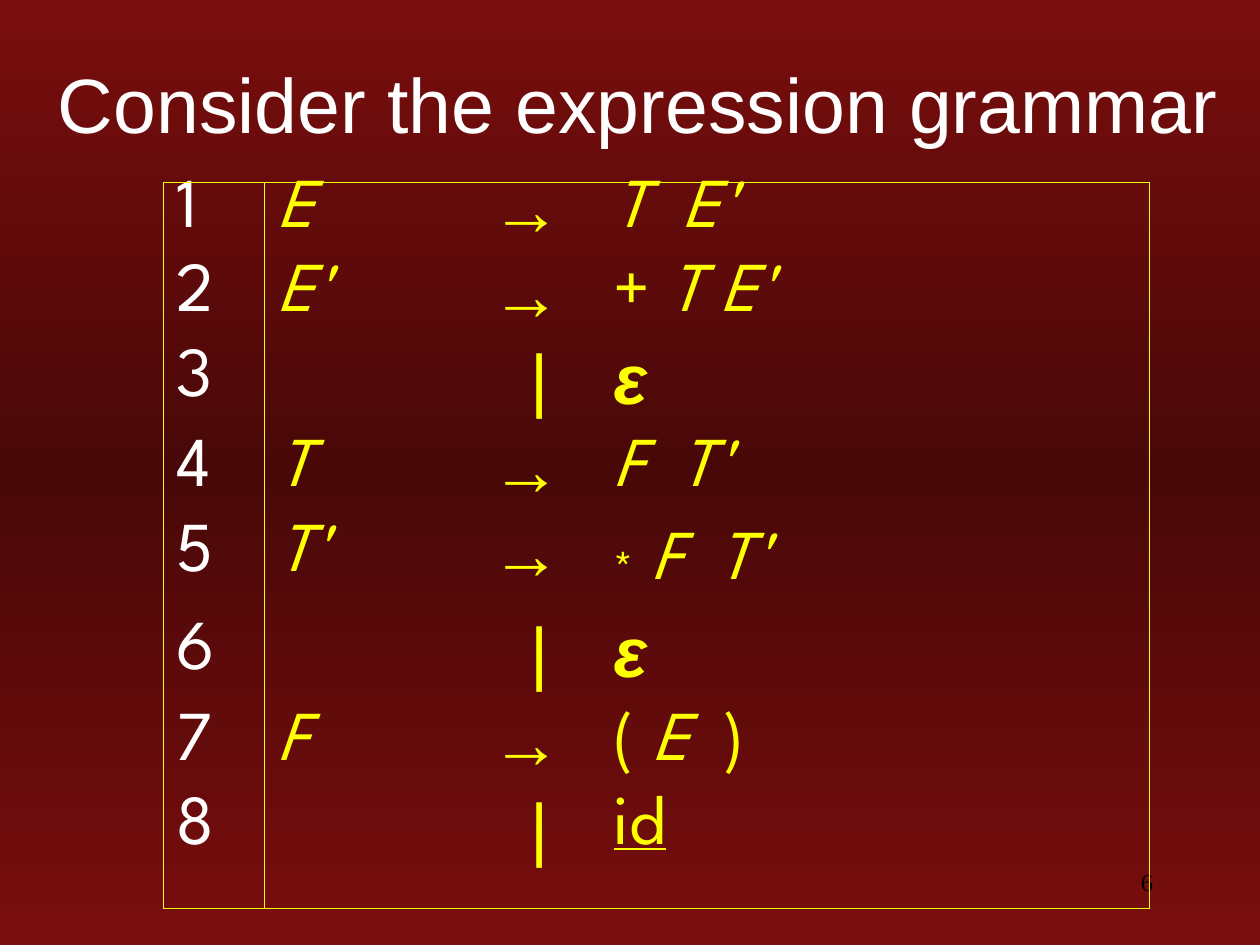
from copy import deepcopy
from dataclasses import dataclass

from pptx import Presentation
from pptx.dml.color import RGBColor
from pptx.enum.text import PP_ALIGN
from pptx.oxml.ns import qn
from pptx.util import Inches, Pt
from lxml.etree import SubElement


@dataclass(frozen=True)
class Theme:
    edge: str = "790D0D"
    middle: str = "490808"
    white: str = "FFFFFF"
    yellow: str = "FFFF00"
    black: str = "000000"
    grammar_font: str = "League Spartan"
    plain_font: str = "Arial"
    page_font: str = "Times New Roman"
    title_size: int = 44
    grammar_size: int = 40
    star_size: int = 48
    page_size: int = 14
    rule_width: float = 0.45


THEME = Theme()
ITALIC = {"italic": True}
EPSILON = [("ε", {"font": THEME.plain_font, "bold": True, "italic": True})]
STAR = {"size": THEME.star_size, "baseline": -8}
PRODUCTIONS = [
    ("E", "→", [("T  E'", ITALIC)], 0.67),
    ("E'", "→", [("+", {}), (" T E'", ITALIC)], 0.67),
    ("", "|", EPSILON, 0.72),
    ("T", "→", [("F  T'", ITALIC)], 0.67),
    ("T'", "→", [("*", STAR), (" F  T'", ITALIC)], 0.78),
    ("", "|", EPSILON, 0.72),
    ("F", "→", [("( ", {}), ("E ", ITALIC), (" )", {})], 0.67),
    ("", "|", [("id", {"underline": True})], 0.86),
]
COLUMN_WIDTHS = [0.8, 1.7, 0.97, 4.35]


def add_text(paragraph, text, font=THEME.grammar_font, size=THEME.grammar_size,
             color=THEME.yellow, bold=False, italic=False, underline=False, baseline=0):
    run = paragraph.add_run()
    run.text = text
    run.font.name = font
    run.font.size = Pt(size)
    run.font.color.rgb = RGBColor.from_string(color)
    run.font.bold = bold
    run.font.italic = italic
    run.font.underline = underline
    if baseline:
        run._r.get_or_add_rPr().set("baseline", str(baseline * 1000))


def paint_background(slide):
    fill = slide.background.fill
    fill.gradient()
    fill.gradient_angle = 270
    first = next(slide.element.iter(qn("a:gs")))
    first.addnext(deepcopy(first))
    colors = [THEME.edge, THEME.middle, THEME.edge]
    for stop, color, position in zip(fill.gradient_stops, colors, [0, 0.5, 1]):
        stop.color.rgb = RGBColor.from_string(color)
        stop.position = position


def add_label(slide, box, text, align=PP_ALIGN.LEFT, spacing=1.0, inset=(0.1, 0.05), **style):
    frame = slide.shapes.add_textbox(*map(Inches, box)).text_frame
    frame.word_wrap = True
    frame.margin_left, frame.margin_top = map(Inches, inset)
    paragraph = frame.paragraphs[0]
    paragraph.alignment = align
    paragraph.line_spacing = spacing
    add_text(paragraph, text, **style)


def set_borders(cell, ruled_sides):
    properties = cell._tc.get_or_add_tcPr()
    for index, side in enumerate("LRTB"):
        line = properties.makeelement(qn(f"a:ln{side}"), {"w": str(Pt(THEME.rule_width))})
        properties.insert(index, line)
        if side in ruled_sides:
            solid = SubElement(line, qn("a:solidFill"))
            SubElement(solid, qn("a:srgbClr"), val=THEME.yellow)
        else:
            SubElement(line, qn("a:noFill"))


def fill_cell(cell, runs, ruled_sides, indent=0):
    cell.fill.background()
    set_borders(cell, ruled_sides)
    paragraph = cell.text_frame.paragraphs[0]
    paragraph.line_spacing = 0.75
    if indent:
        paragraph._p.get_or_add_pPr().set("marL", str(Inches(indent)))
    for text, style in runs:
        if text:
            add_text(paragraph, text, **style)


def add_grammar(slide, box):
    table = slide.shapes.add_table(
        len(PRODUCTIONS), len(COLUMN_WIDTHS), *map(Inches, box)).table
    table.first_row = table.horz_banding = False
    for column, width in zip(table.columns, COLUMN_WIDTHS):
        column.width = Inches(width)
    last = len(PRODUCTIONS) - 1
    for index, (symbol, operator, expansion, height) in enumerate(PRODUCTIONS):
        table.rows[index].height = Inches(height)
        outer = ("T" if index == 0 else "") + ("B" if index == last else "")
        arrow = operator == "→"
        contents = [
            ([(str(index + 1), {"color": THEME.white})], "LR", 0),
            ([(symbol, ITALIC)], "L", 0),
            ([(operator, {"font": THEME.plain_font, "bold": arrow})], "", 0 if arrow else 0.31),
            (expansion, "R", 0),
        ]
        for column, (runs, sides, indent) in enumerate(contents):
            fill_cell(table.cell(index, column), runs, sides + outer, indent)


def main():
    deck = Presentation()
    deck.slide_width, deck.slide_height = Inches(10), Inches(7.5)
    slide = deck.slides.add_slide(deck.slide_layouts[6])
    paint_background(slide)
    add_label(slide, (7.17, 6.83, 2.08, 0.5), "6", align=PP_ALIGN.RIGHT,
              font=THEME.page_font, size=THEME.page_size, color=THEME.black)
    add_label(slide, (0.19, 0.49, 10, 1.07), "Consider the expression grammar",
              spacing=0.8, inset=(0.27, 0.1), font=THEME.plain_font,
              size=THEME.title_size, color=THEME.white)
    add_grammar(slide, (1.3, 1.45, sum(COLUMN_WIDTHS), sum(row[-1] for row in PRODUCTIONS)))
    deck.save("out.pptx")


if __name__ == "__main__":
    main()
